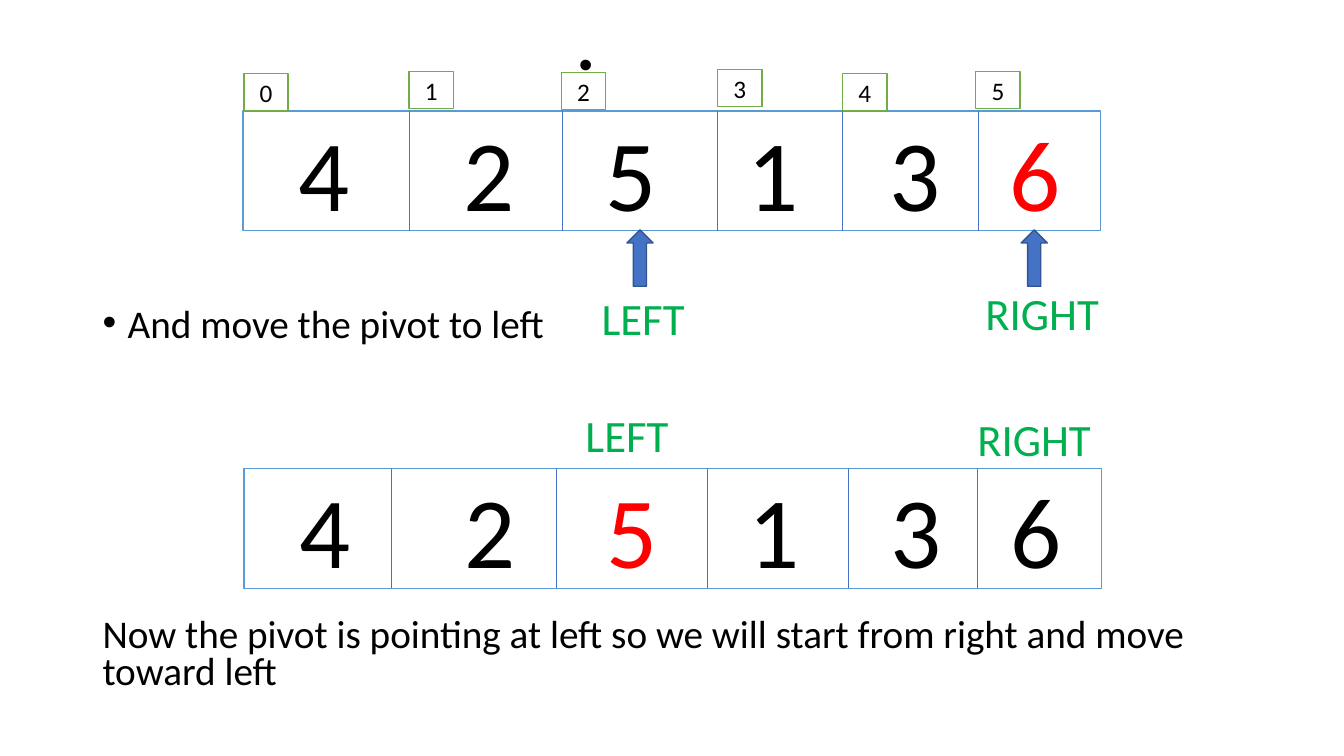
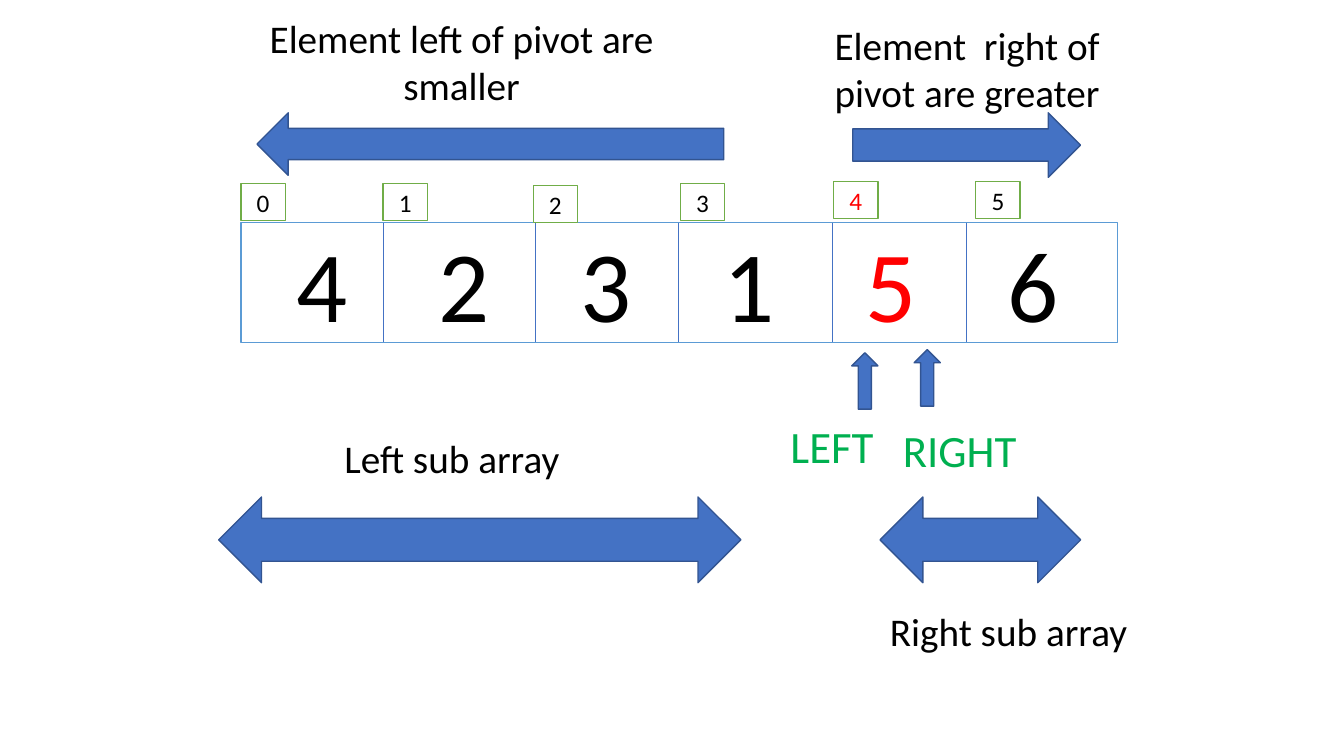
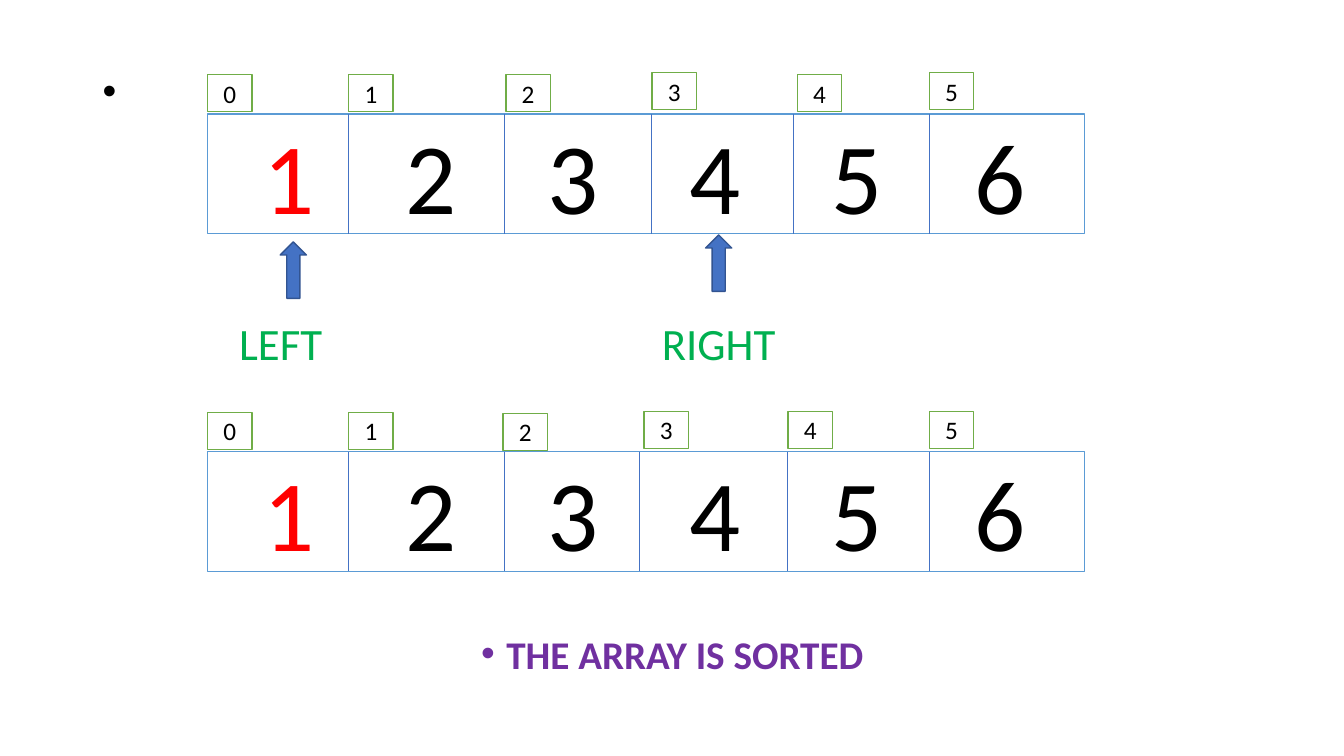
from lxml.etree import SubElement
from pptx import Presentation
from pptx.dml.color import RGBColor
from pptx.enum.shapes import MSO_CONNECTOR, MSO_SHAPE
from pptx.enum.text import MSO_ANCHOR, PP_ALIGN
from pptx.oxml.ns import qn
from pptx.util import Pt

BLACK = RGBColor(0x00, 0x00, 0x00)
WHITE = RGBColor(0xFF, 0xFF, 0xFF)
RED = RGBColor(0xFF, 0x00, 0x00)
GREEN = RGBColor(0x00, 0xB0, 0x50)
PURPLE = RGBColor(0x70, 0x30, 0xA0)
BLUE = RGBColor(0x44, 0x72, 0xC4)
DARK_BLUE = RGBColor(0x32, 0x54, 0x91)
ROW_LINE = RGBColor(0x5B, 0x9B, 0xD5)
TAG_LINE = RGBColor(0x70, 0xAD, 0x47)

FONT = "Calibri"
ROW_H = 85.5
TAG_W, TAG_H = 31.7, 26.6
POINTER_W, POINTER_H = 18.7, 40.3
FIRST_DIGIT, DIGIT_STEP = 32.5, 101.6
EVEN_STOPS = [FIRST_DIGIT + DIGIT_STEP * i for i in range(6)]
UNEVEN_STOPS = [32.5, 150.4, 252, 353.5, 455.1, 540.4]
BODY_X, BODY_W = 66.2, 828


def add_run(p, text, size, color=BLACK, bold=False, font=FONT):
    r = p.add_run()
    r.text = text
    r.font.name, r.font.size, r.font.bold = font, Pt(size), bold
    r.font.color.rgb = color


def add_box(s, kind, x, y, w, h, fill, line):
    sp = s.shapes.add_shape(kind, Pt(x), Pt(y), Pt(w), Pt(h))
    sp.shadow.inherit = False
    sp.fill.solid()
    sp.fill.fore_color.rgb = fill
    sp.line.color.rgb = line
    sp.line.width = Pt(1)
    tf = sp.text_frame
    tf.vertical_anchor = MSO_ANCHOR.MIDDLE
    return tf.paragraphs[0]


def add_arrow(s, kind, x, y, w, h):
    add_box(s, kind, x, y, w, h, BLUE, DARK_BLUE)


def add_pointer(s, x, y):
    add_arrow(s, MSO_SHAPE.UP_ARROW, x, y, POINTER_W, POINTER_H)


def add_divider(s, x, y):
    line = s.shapes.add_connector(MSO_CONNECTOR.STRAIGHT, Pt(x), Pt(y), Pt(x), Pt(y + ROW_H))
    line.line.color.rgb = BLUE
    line.line.width = Pt(0.5)
    SubElement(line._element.spPr, qn("a:effectLst"))


def add_array(s, x, y, w, digits, pivot, dividers, stops=EVEN_STOPS):
    """One row of cells: digits on tab stops, the pivot in red."""
    p = add_box(s, MSO_SHAPE.RECTANGLE, x, y, w, ROW_H, WHITE, ROW_LINE)
    p.alignment = PP_ALIGN.LEFT
    tabs = SubElement(p._p.get_or_add_pPr(), qn("a:tabLst"))
    for stop in stops:
        SubElement(tabs, qn("a:tab"), pos=str(int(Pt(stop))), algn="l")
    for digit in digits:
        add_run(p, "\t" + digit, 72, RED if digit == pivot else BLACK)
    for divider in dividers:
        add_divider(s, divider, y)


def add_tags(s, places, red=None):
    """Index tags above a row."""
    for i, (x, y) in enumerate(places):
        p = add_box(s, MSO_SHAPE.RECTANGLE, x, y, TAG_W, TAG_H, WHITE, TAG_LINE)
        p.alignment = PP_ALIGN.CENTER
        add_run(p, str(i), 18, RED if i == red else BLACK)


def add_text(s, x, y, w, h):
    tf = s.shapes.add_textbox(Pt(x), Pt(y), Pt(w), Pt(h)).text_frame
    tf.word_wrap = True
    return tf.paragraphs[0]


def add_label(s, text, x, y, w, size=28, color=BLACK, align=PP_ALIGN.CENTER, h=41):
    p = add_text(s, x, y, w, h)
    p.alignment = align
    add_run(p, text, size, color)


def add_side(s, text, x, y, w):
    add_label(s, text, x, y, w, 32, GREEN, h=46)


def add_body(s, text, y, bullet=False, align=PP_ALIGN.LEFT, h=34, **style):
    p = add_text(s, BODY_X, y, BODY_W, h)
    p.alignment = align
    p.line_spacing = 0.8
    if bullet:
        pPr = p._p.get_or_add_pPr()
        pPr.set("marL", str(int(Pt(18))))
        pPr.set("indent", str(int(Pt(-18))))
        SubElement(pPr, qn("a:buFont"), typeface="Arial")
        SubElement(pPr, qn("a:buChar"), char="•")
    add_run(p, text, 28, **style)


def add_lone_bullet(s, x, y):
    p = add_text(s, x, y, 30, 34)
    p.line_spacing = 0.8
    add_run(p, "•", 28, font="Arial")


def move_pivot_slide(s):
    # Text
    add_lone_bullet(s, 406.5, 31)
    add_body(s, "And move the pivot to left", 216.6, bullet=True)
    add_body(s, "Now the pivot is pointing at left so we will start from right "
                "and move toward left", 438, h=62)
    # Pivot on the right
    add_array(s, 173.5, 79.2, 612.7, "425136", "6",
              [292.3, 401.8, 512.6, 601.9, 699.1], UNEVEN_STOPS)
    add_tags(s, [(174.2, 52.6), (292.3, 51.1), (401, 51.8),
                 (512.6, 49.7), (601.9, 52.6), (697, 51.1)])
    add_pointer(s, 447.8, 164.2)
    add_pointer(s, 729.4, 164.2)
    add_side(s, "LEFT", 413.3, 203.8, 92.2)
    add_side(s, "RIGHT", 687.6, 200.2, 113.8)
    # Pivot on the left
    add_array(s, 174.2, 334.8, 612.7, "425136", "5",
              [279.4, 397.4, 505.4, 606.2, 698.4], UNEVEN_STOPS)
    add_side(s, "LEFT", 401.8, 288, 92.2)
    add_side(s, "RIGHT", 681.8, 290.2, 113.8)


def sub_arrays_slide(s):
    add_array(s, 172.1, 159.1, 626.4, "423156", "5", [273.6, 382.3, 484.6, 594.7, 690.5])
    add_tags(s, [(172.1, 131), (273.6, 131), (380.9, 132.5),
                 (486, 131), (595.4, 129.6), (697, 129.6)], red=4)
    # Both sides of the pivot
    add_arrow(s, MSO_SHAPE.LEFT_ARROW, 183.6, 80.6, 333.4, 44.6)
    add_label(s, "Element left of pivot are smaller", 156.2, 6.5, 347, h=75)
    add_arrow(s, MSO_SHAPE.RIGHT_ARROW, 609.1, 80.6, 162.7, 46.1)
    add_label(s, "Element  right of pivot are greater", 566.6, 11.5, 248.4, h=75)
    # Pointers
    add_pointer(s, 608.4, 252)
    add_pointer(s, 653, 249.8)
    add_side(s, "LEFT", 554.4, 295.2, 79.9)
    add_side(s, "RIGHT", 628.6, 298.1, 113.8)
    # Sub arrays
    for text, x, y, arrow_x, arrow_w in (("Left sub array", 239, 306.7, 156.2, 373),
                                         ("Right sub array", 628.6, 430.6, 628.6, 143.3)):
        add_arrow(s, MSO_SHAPE.LEFT_RIGHT_ARROW, arrow_x, 355, arrow_w, 61.2)
        add_label(s, text, x, y, 290.2, align=PP_ALIGN.LEFT)


def sorted_slide(s):
    add_lone_bullet(s, BODY_X, 49.7)
    add_body(s, "THE ARRAY IS SORTED", 453, bullet=True, align=PP_ALIGN.CENTER,
             color=PURPLE, bold=True)
    # Last step
    add_array(s, 148.3, 81.4, 626.4, "123456", "1", [249.1, 360, 465.1, 566.6, 663.8])
    add_tags(s, [(148.3, 53.3), (249.1, 53.3), (361.4, 53.3),
                 (465.8, 51.8), (569.5, 53.3), (663.8, 51.8)])
    add_pointer(s, 200.2, 172.8)
    add_pointer(s, 504, 167.8)
    add_side(s, "LEFT", 160.6, 221.8, 79.9)
    add_side(s, "RIGHT", 456.5, 221.8, 113.8)
    # Sorted array
    add_array(s, 148.3, 322.6, 626.4, "123456", "1", [249.1, 360, 456.5, 562.3, 663.8])
    add_tags(s, [(148.3, 294.5), (249.1, 294.5), (359.3, 295.2),
                 (460.1, 293.8), (563, 293.8), (663.8, 293.8)])


def main():
    prs = Presentation()
    prs.slide_width, prs.slide_height = Pt(960), Pt(540)
    for build in (move_pivot_slide, sub_arrays_slide, sorted_slide):
        build(prs.slides.add_slide(prs.slide_layouts[6]))
    prs.save("out.pptx")


if __name__ == "__main__":
    main()
